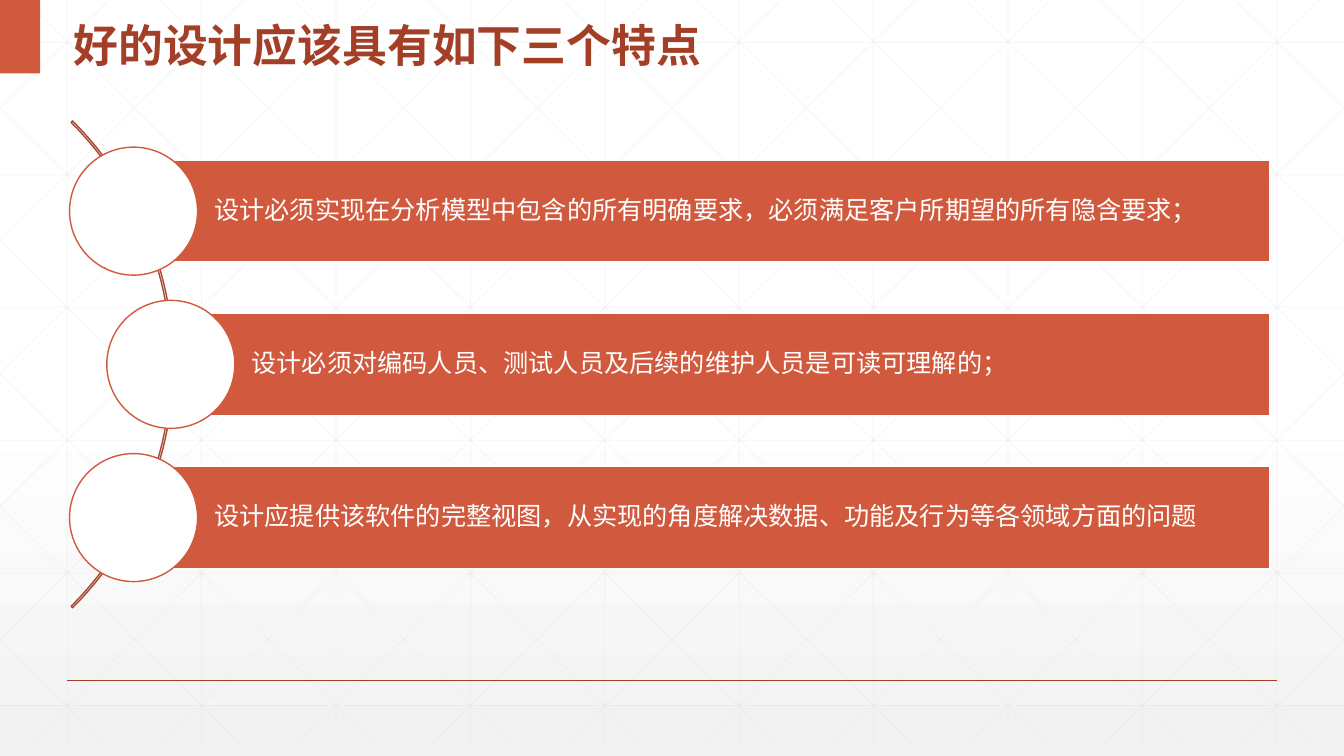
from lxml import etree
from pptx import Presentation
from pptx.dml.color import RGBColor
from pptx.enum.shapes import MSO_CONNECTOR, MSO_SHAPE
from pptx.enum.text import MSO_ANCHOR, MSO_AUTO_SIZE, PP_ALIGN
from pptx.oxml.ns import qn
from pptx.util import Inches, Pt

STRAIGHT = MSO_CONNECTOR.STRAIGHT
RECT, OVAL, BLOCK_ARC = MSO_SHAPE.RECTANGLE, MSO_SHAPE.OVAL, MSO_SHAPE.BLOCK_ARC
MIDDLE, LEFT = MSO_ANCHOR.MIDDLE, PP_ALIGN.LEFT
NO_AUTOFIT = MSO_AUTO_SIZE.NONE

WHITE = RGBColor(0xFF, 0xFF, 0xFF)
PALE = RGBColor(0xF2, 0xF2, 0xF2)
GRID = RGBColor(0xD9, 0xD9, 0xD9)
ORANGE = RGBColor(0xD1, 0x5A, 0x3E)
RUST = RGBColor(0xA4, 0x3F, 0x27)
ARC_RUST = RGBColor(0xA7, 0x48, 0x32)

WIDTH, HEIGHT = 13.333, 7.5
COL = WIDTH / 10            # background grid column
ROW = 1.316                 # background grid row
GRID_BOTTOM = 7.37
SLOPE = 0.9886              # fall of a diagonal per inch across

CIRCLE = 1.27
BAR_HEIGHT = 1.01
BAR_RIGHT = 12.6
CHAIN_TOP, CHAIN_STEP = 1.46, 1.52

TITLE = "好的设计应该具有如下三个特点"
FEATURES = [
    (0.69, "设计必须实现在分析模型中包含的所有明确要求，必须满足客户所期望的所有隐含要求；"),
    (1.06, "设计必须对编码人员、测试人员及后续的维护人员是可读可理解的；"),
    (0.69, "设计应提供该软件的完整视图，从实现的角度解决数据、功能及行为等各领域方面的问题"),
]


def set_format(target, formats):
    for name, value in formats.items():
        setattr(target, name, value)


def add_line(slide, start, end, color, width, alpha=None):
    """Draw a straight line; alpha is its opacity in percent."""
    line = slide.shapes.add_connector(
        STRAIGHT, *(Inches(v) for v in (*start, *end)))
    line.line.width = Pt(width)
    line.line.color.rgb = color
    if alpha is not None:
        rgb = line.element.spPr.find(".//" + qn("a:srgbClr"))
        etree.SubElement(rgb, qn("a:alpha"), val=str(alpha * 1000))
    etree.SubElement(line.element.spPr, qn("a:effectLst"))


def add_shape(slide, kind, box, fill=None, outline=None):
    sp = slide.shapes.add_shape(kind, *(Inches(v) for v in box))
    sp.shadow.inherit = False
    if fill is None:
        sp.fill.background()
    else:
        sp.fill.solid()
        sp.fill.fore_color.rgb = fill
    if outline is None:
        sp.line.fill.background()
    else:
        sp.line.color.rgb = outline
        sp.line.width = Pt(1)
    return sp


def write(sp, text, frame, spacing, font, color):
    tf = sp.text_frame
    set_format(tf, {"word_wrap": True, "vertical_anchor": MIDDLE, **frame})
    p = tf.paragraphs[0]
    set_format(p, {"alignment": LEFT, "line_spacing": spacing})
    r = p.add_run()
    r.text = text
    set_format(r.font, font)
    r.font.color.rgb = color
    return r


def add_background(slide):
    fill = slide.background.fill
    fill.gradient()
    fill.gradient_angle = 270
    for stop, position, color in zip(fill.gradient_stops, (0.53, 1), (WHITE, PALE)):
        stop.position = position
        stop.color.rgb = color

    lines = []
    for i in range(10):
        x = (i + 0.5) * COL
        lines.append(((x, 0), (x, GRID_BOTTOM)))
    for i in range(6):
        y = 0.42 + i * ROW
        lines.append(((0, y), (WIDTH, y)))
    for i in range(-5, 10):
        x = 0.25 + i * COL
        left = max(0, x)
        right = min(WIDTH, x + GRID_BOTTOM / SLOPE)
        top, bottom = (left - x) * SLOPE, (right - x) * SLOPE
        lines.append(((left, top), (right, bottom)))
        lines.append(((WIDTH - left, top), (WIDTH - right, bottom)))
    for start, end in lines:
        add_line(slide, start, end, GRID, 0.5, alpha=25)

    add_line(slide, (COL / 2, 0.9 * HEIGHT), (WIDTH - COL / 2, 0.9 * HEIGHT), RUST, 1)
    add_shape(slide, RECT, (0, 0, 0.4, 0.73), ORANGE)


def add_title(slide):
    title = slide.shapes.title
    slide.shapes.element.append(title.element)  # in front of the background
    set_format(title, {"left": Inches(0.63), "top": 0,
                       "width": Inches(7.55), "height": Inches(0.73)})
    font = {"name": "Noto Sans CJK SC", "size": Pt(32), "bold": True}
    r = write(title, TITLE, {"auto_size": NO_AUTOFIT}, 1.3, font, RUST)
    etree.SubElement(r.font._element, qn("a:ea"), typeface=font["name"])


def add_arc(slide):
    arc = add_shape(slide, BLOCK_ARC, (-5.11, 0.2, 6.83, 6.83), outline=ARC_RUST)
    for i, value in enumerate((189, 27, 0.003)):
        arc.adjustments[i] = value


def add_feature(slide, row, left, text):
    """Add a bar that starts at the centre of its circle."""
    top = CHAIN_TOP + row * CHAIN_STEP
    bar_left = left + CIRCLE / 2
    bar_top = top + (CIRCLE - BAR_HEIGHT) / 2
    bar = add_shape(slide, RECT, (bar_left, bar_top, BAR_RIGHT - bar_left, BAR_HEIGHT),
                    ORANGE, WHITE)
    frame = {"margin_left": Inches(0.8), "margin_right": Inches(0.05)}
    write(bar, text, frame, 0.9, {"name": "Arial", "size": Pt(18)}, WHITE)
    add_shape(slide, OVAL, (left, top, CIRCLE, CIRCLE), WHITE, ORANGE)


def main():
    prs = Presentation()
    set_format(prs, {"slide_width": Inches(WIDTH), "slide_height": Inches(HEIGHT)})
    slide = prs.slides.add_slide(prs.slide_layouts[5])
    add_background(slide)
    add_title(slide)
    add_arc(slide)
    for row, (left, text) in enumerate(FEATURES):
        add_feature(slide, row, left, text)
    prs.save("out.pptx")


if __name__ == "__main__":
    main()
